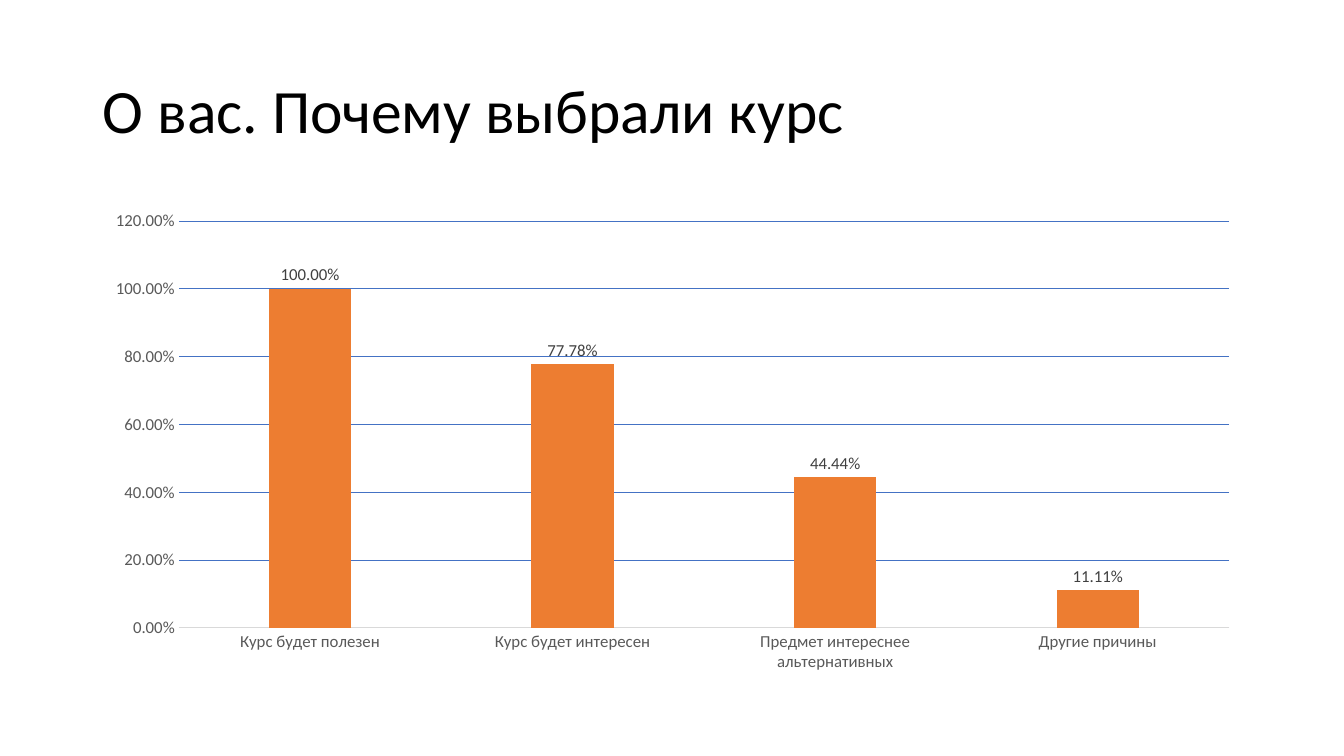
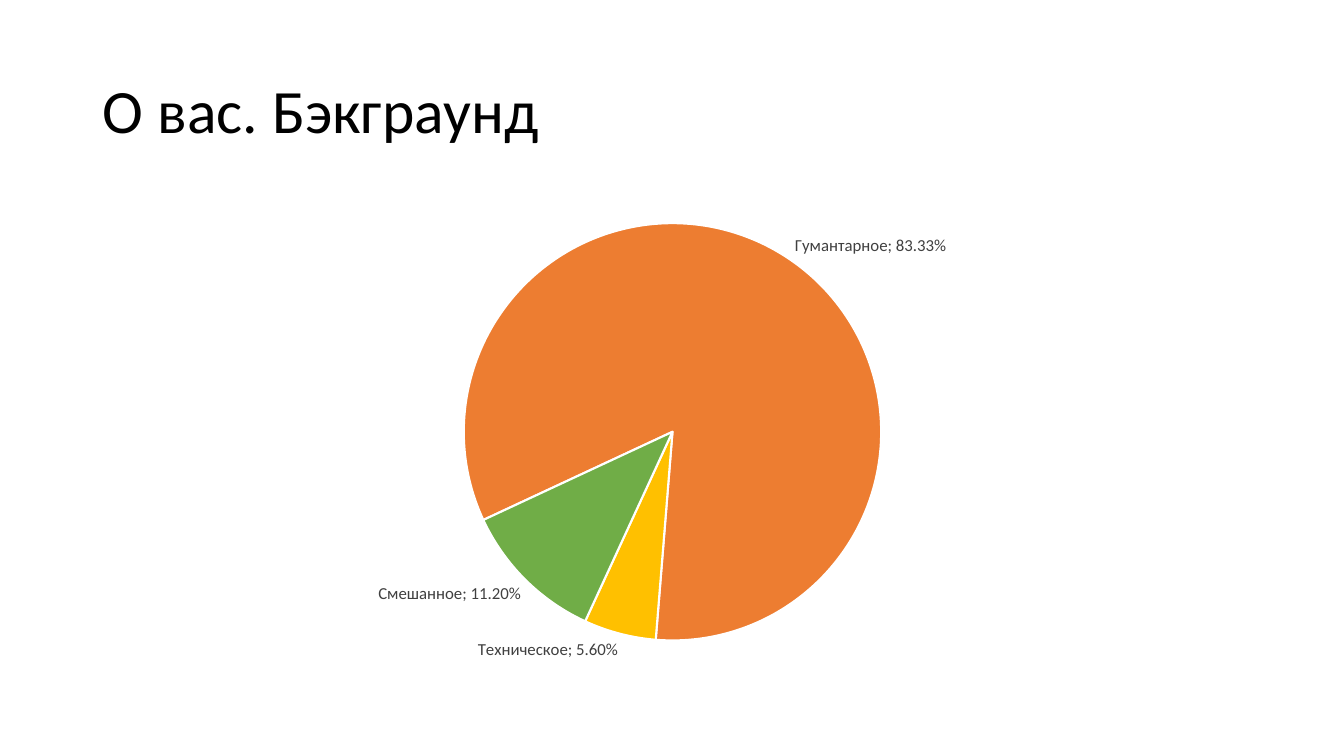
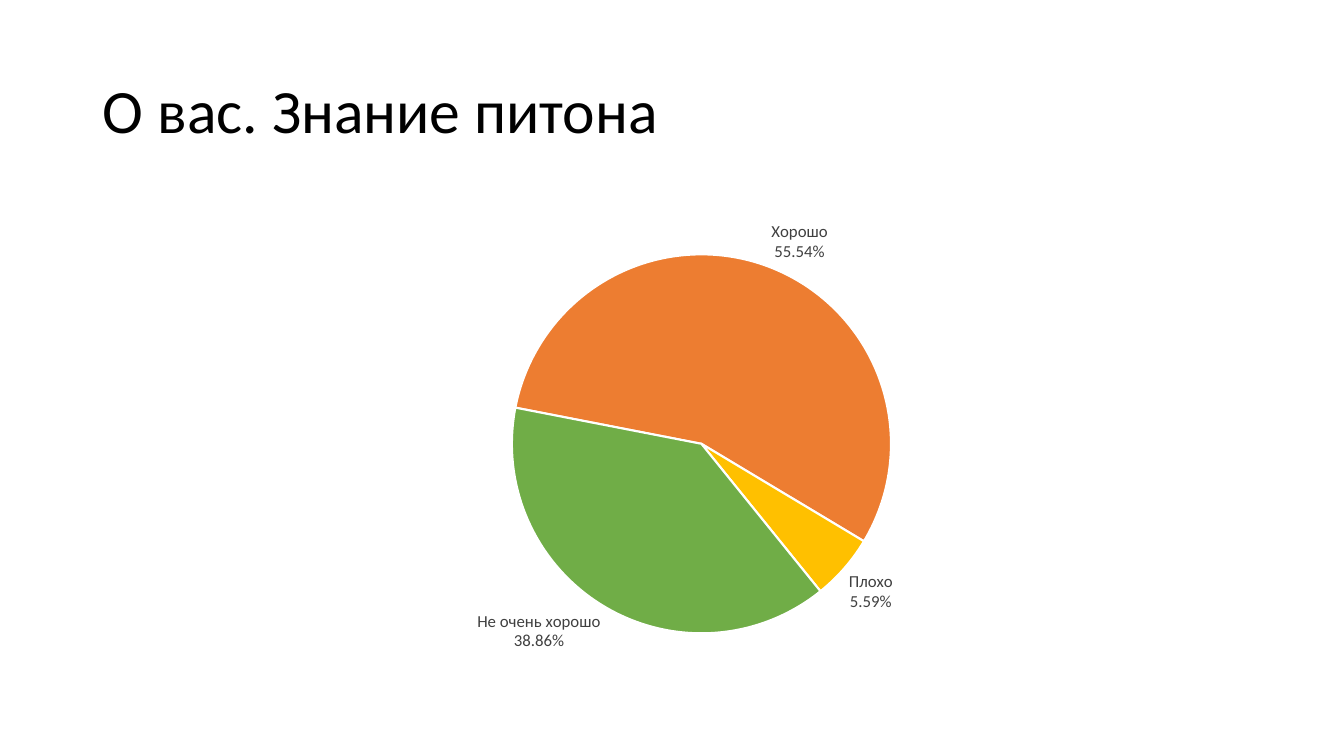
from dataclasses import dataclass

from lxml.etree import SubElement
from pptx import Presentation
from pptx.chart.data import CategoryChartData
from pptx.dml.color import RGBColor
from pptx.enum.chart import XL_CHART_TYPE as CHART, XL_LABEL_POSITION as LABEL_POS, XL_TICK_MARK as TICK
from pptx.enum.text import MSO_ANCHOR as ANCHOR, MSO_AUTO_SIZE as AUTO_SIZE, PP_ALIGN as ALIGN
from pptx.oxml.ns import qn
from pptx.util import Inches, Pt


@dataclass(frozen=True)
class Theme:
    """Colours, type sizes and frames shared by the slides."""
    font: str = "Calibri"
    ink: str = "000000"
    axis_text: str = "595959"
    label_text: str = "404040"
    axis_line: str = "D9D9D9"
    grid_line: str = "4472C4"
    paper: str = "FFFFFF"
    slices: tuple = ("ED7D31", "FFC000", "70AD47")
    title_size: int = 44
    chart_size: int = 10
    label_size: int = 12
    slide: tuple = (13.33, 7.5)
    title_box: tuple = (0.92, 0.4, 11.5, 1.45)
    chart_box: tuple = (0.92, 2, 11.5, 4.76)


THEME = Theme()
PERCENT = "0.00%"


def rgb(color):
    """Return a colour object for a hex string."""
    return RGBColor.from_string(color)


def style_font(font, size, color):
    """Apply the theme typeface with a size and colour."""
    font.name, font.size, font.bold = THEME.font, Pt(size), False
    font.color.rgb = rgb(color)


def style_line(line, color, width=0.75):
    """Give a line its colour and width."""
    line.color.rgb = rgb(color)
    line.width = Pt(width)


def write_text(tf, text, size, color, align=ALIGN.LEFT, anchor=ANCHOR.MIDDLE, spacing=0.9):
    """Write one formatted paragraph into a text frame."""
    tf.word_wrap, tf.auto_size, tf.vertical_anchor = True, AUTO_SIZE.NONE, anchor
    p = tf.paragraphs[0]
    p.alignment, p.line_spacing = align, spacing
    r = p.add_run()
    r.text = text
    style_font(r.font, size, color)


def add_slide(prs, title):
    """Add a title-only slide with the shared title style."""
    s = prs.slides.add_slide(prs.slide_layouts[5])
    sp = s.shapes.title
    sp.left, sp.top, sp.width, sp.height = map(Inches, THEME.title_box)
    write_text(sp.text_frame, title, size=THEME.title_size, color=THEME.ink)
    return s


def add_chart(s, kind, points):
    """Add a single-series chart in the shared frame."""
    data = CategoryChartData(number_format=PERCENT)
    data.categories = list(points)
    data.add_series("Series 1", list(points.values()))
    chart = s.shapes.add_chart(kind, *map(Inches, THEME.chart_box), data).chart
    chart.has_title = chart.has_legend = False
    style_font(chart.font, THEME.chart_size, THEME.ink)
    return chart


def label_series(series, number_format=PERCENT):
    """Show values outside the series' points and return the labels."""
    labels = series.data_labels
    labels.show_value = True
    labels.position = LABEL_POS.OUTSIDE_END
    labels.number_format, labels.number_format_is_linked = number_format, False
    style_font(labels.font, THEME.label_size, THEME.label_text)
    return labels


def style_axis(axis):
    """Remove tick marks and set the axis text."""
    axis.major_tick_mark = axis.minor_tick_mark = TICK.NONE
    style_font(axis.tick_labels.font, THEME.label_size, THEME.axis_text)


def add_columns(s, points, top, step):
    """Add a column chart with percentage labels and gridlines."""
    chart = add_chart(s, CHART.COLUMN_CLUSTERED, points)
    plot = chart.plots[0]
    plot.gap_width, plot.overlap, plot.vary_by_categories = 219, -27, False
    fill = plot.series[0].format.fill
    fill.solid()
    fill.fore_color.rgb = rgb(THEME.slices[0])
    label_series(plot.series[0])
    cat, val = chart.category_axis, chart.value_axis
    style_axis(cat)
    style_axis(val)
    style_line(cat.format.line, THEME.axis_line)
    val.format.line.fill.background()
    val.minimum_scale, val.maximum_scale, val.major_unit = 0, top, step
    val.tick_labels.number_format, val.tick_labels.number_format_is_linked = PERCENT, False
    style_line(val.major_gridlines.format.line, THEME.grid_line)


def place_plot(plot_area, x, y, w, h):
    """Fix the inner plot area as shares of the chart frame."""
    for old in plot_area.findall(qn("c:layout")):
        plot_area.remove(old)
    layout = SubElement(plot_area, qn("c:layout"))
    plot_area.insert(0, layout)
    manual = SubElement(layout, qn("c:manualLayout"))
    settings = dict(layoutTarget="inner", xMode="edge", yMode="edge", x=x, y=y, w=w, h=h)
    for tag, value in settings.items():
        SubElement(manual, qn(f"c:{tag}")).set("val", str(value))


def add_pie(s, points, start, area, separator, number_format=PERCENT):
    """Add a pie chart turned to a start angle, with named slices."""
    chart = add_chart(s, CHART.PIE, points)
    plot = chart.plots[0]
    plot.vary_by_categories = True
    series = plot.series[0]
    for i, color in enumerate(THEME.slices):
        fmt = series.points[i].format
        fmt.fill.solid()
        fmt.fill.fore_color.rgb = rgb(color)
        style_line(fmt.line, THEME.paper, 1.5)
    labels = label_series(series, number_format)
    labels.show_category_name = True
    d_lbls = series.data_labels._element
    sep = SubElement(d_lbls, qn("c:separator"))
    sep.text = separator
    d_lbls.find(qn("c:showBubbleSize")).addnext(sep)
    plot_area = chart._chartSpace.chart.plotArea
    pie = plot_area.find(qn("c:pieChart"))
    for old in pie.findall(qn("c:firstSliceAng")):
        pie.remove(old)
    SubElement(pie, qn("c:firstSliceAng")).set("val", str(start))
    place_plot(plot_area, *area)


def main():
    """Build the survey slides."""
    prs = Presentation()
    prs.slide_width, prs.slide_height = map(Inches, THEME.slide)

    s = add_slide(prs, "О вас. Почему выбрали курс")
    reasons = {"Курс будет полезен": 1, "Курс будет интересен": 0.7778,
               "Предмет интереснее альтернативных": 0.4444, "Другие причины": 0.1111}
    add_columns(s, reasons, top=1.2, step=0.2)

    s = add_slide(prs, "О вас. Бэкграунд")
    background = {"Гумантарное": 0.8333, "Техническое": 0.056, "Смешанное": 0.112}
    add_pie(s, background, start=245, area=(0.32, 0.04, 0.36, 0.88), separator="; ")

    s = add_slide(prs, "О вас. Знание питона")
    skill = {"Хорошо": 55.54, "Плохо": 5.59, "Не очень хорошо": 38.86}
    add_pie(s, skill, start=281, area=(0.36, 0.11, 0.33, 0.79), separator="\n",
            number_format='0.00"%"')

    prs.save("out.pptx")


if __name__ == "__main__":
    main()
